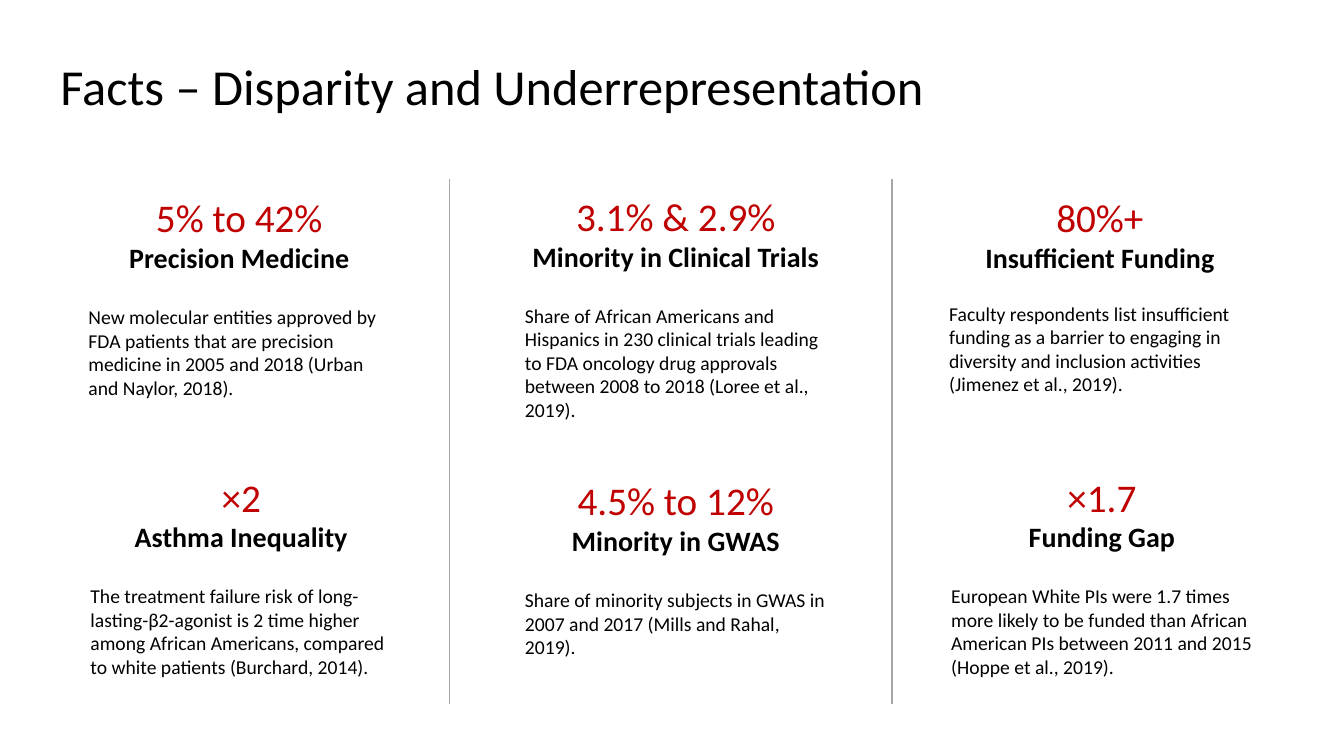
"""Build the slide of six facts on disparity and underrepresentation."""
from lxml import etree
from pptx import Presentation
from pptx.dml.color import RGBColor
from pptx.enum.shapes import MSO_CONNECTOR
from pptx.enum.text import MSO_ANCHOR, MSO_AUTO_SIZE, PP_ALIGN
from pptx.oxml.ns import qn
from pptx.util import Cm, Pt

LEFT, CENTER = PP_ALIGN.LEFT, PP_ALIGN.CENTER
TOP = MSO_ANCHOR.TOP
NO_FIT = MSO_AUTO_SIZE.NONE
STRAIGHT = MSO_CONNECTOR.STRAIGHT
TITLE_ONLY = 5
COLORS = {"text": "000000", "figure": "C00000", "divider": "A6A6A6"}

FACTS = [
    (1.98, 4.75, 22, "5% to 42%", "Precision Medicine",
     "New molecular entities approved by FDA patients that are precision "
     "medicine in 2005 and 2018 (Urban and Naylor, 2018)."),
    (2.03, 11.79, 22, "×2", "Asthma Inequality",
     "The treatment failure risk of long-lasting-β2-agonist is 2 time higher "
     "among African Americans, compared to white patients (Burchard, 2014)."),
    (12.98, 4.72, 22, "3.1% & 2.9%", "Minority in Clinical Trials",
     "Share of African Americans and Hispanics in 230 clinical trials leading "
     "to FDA oncology drug approvals between 2008 to 2018 (Loree et al., 2019)."),
    (12.98, 11.89, 22, "4.5% to 12%", "Minority in GWAS",
     "Share of minority subjects in GWAS in 2007 and 2017 "
     "(Mills and Rahal, 2019)."),
    (23.67, 4.75, 19.5, "80%+", "Insufficient Funding",
     "Faculty respondents list insufficient funding as a barrier to engaging "
     "in diversity and inclusion activities (Jimenez et al., 2019)."),
    (23.72, 11.79, 22, "×1.7", "Funding Gap",
     "European White PIs were 1.7 times more likely to be funded than African "
     "American PIs between 2011 and 2015 (Hoppe et al., 2019)."),
]


def write(paragraph, text, size, color="text", bold=False, align=LEFT, before=0):
    run = paragraph.add_run()
    run.text = text
    run.font.name = "Calibri"
    run.font.size = Pt(size)
    run.font.bold = bold
    run.font.color.rgb = RGBColor.from_string(COLORS[color])
    paragraph.alignment = align
    if before:
        paragraph.space_before = Pt(before)


class FactSlide:
    def __init__(self, presentation):
        layout = presentation.slide_layouts[TITLE_ONLY]
        self.slide = presentation.slides.add_slide(layout)
        self.shapes = self.slide.shapes

    def title(self, text):
        heading = self.shapes.title
        heading.left, heading.top = Cm(1.27), Cm(1.27)
        heading.width, heading.height = Cm(31.3), Cm(1.8)
        frame = heading.text_frame
        frame.vertical_anchor = TOP
        frame.auto_size = NO_FIT
        write(frame.paragraphs[0], text, 36)

    def fact(self, left, top, gap, figure, topic, detail):
        box = self.shapes.add_textbox(Cm(left), Cm(top), Cm(8.1), Cm(5.8))
        frame = box.text_frame
        frame.word_wrap = True
        write(frame.paragraphs[0], figure, 28, color="figure", align=CENTER)
        write(frame.add_paragraph(), topic, 20, bold=True, align=CENTER)
        write(frame.add_paragraph(), detail, 14, before=gap)

    def divider(self, x):
        rule = self.shapes.add_connector(STRAIGHT, Cm(x), Cm(4.52), Cm(x), Cm(17.73))
        rule.line.color.rgb = RGBColor.from_string(COLORS["divider"])
        rule.line.width = Pt(1.25)
        etree.SubElement(rule._element.spPr, qn("a:effectLst"))


def main():
    presentation = Presentation()
    presentation.slide_width, presentation.slide_height = Cm(33.87), Cm(19.05)
    slide = FactSlide(presentation)
    slide.title("Facts – Disparity and Underrepresentation")
    for fact in FACTS:
        slide.fact(*fact)
    for x in (11.33, 22.48):
        slide.divider(x)
    presentation.save("out.pptx")


if __name__ == "__main__":
    main()
